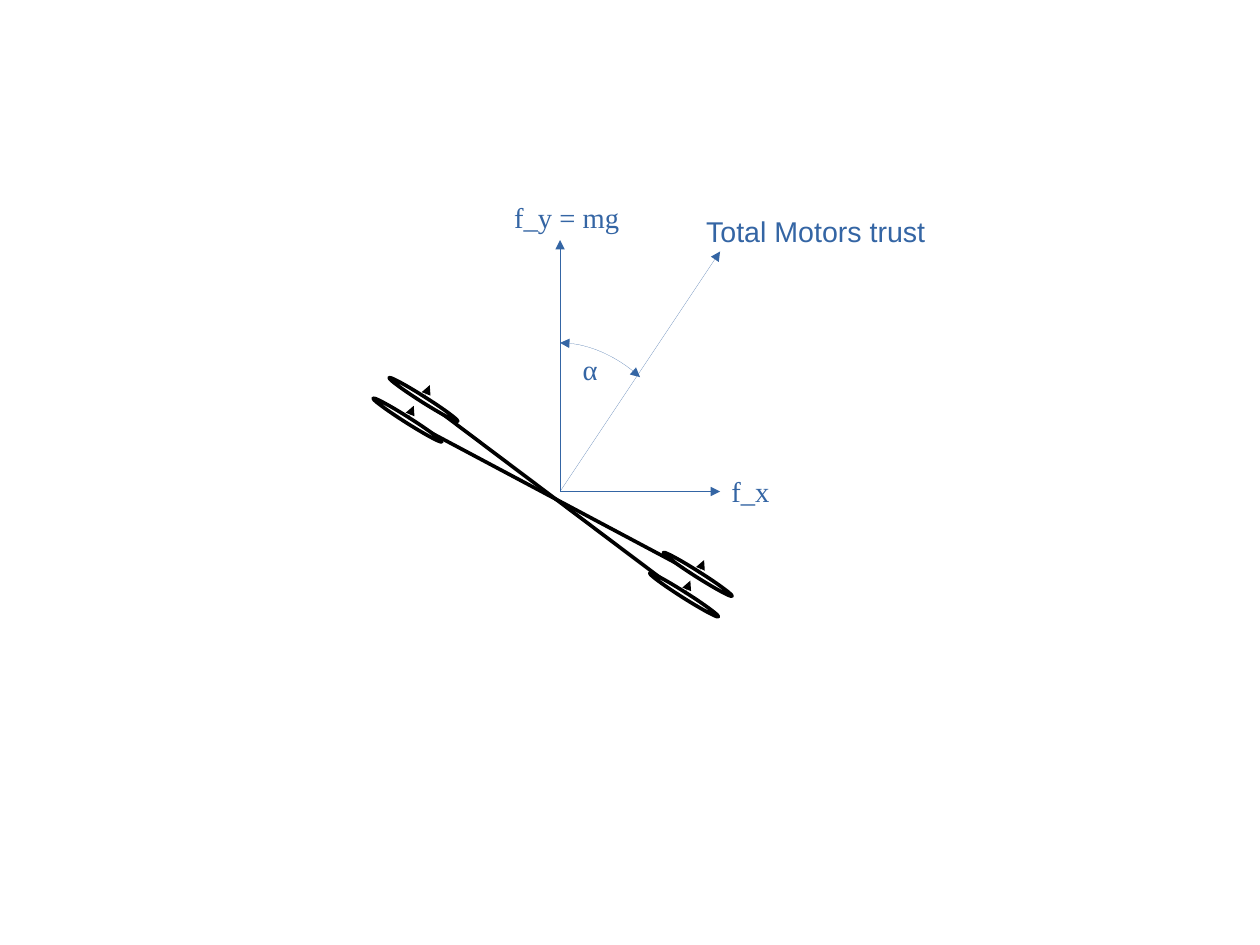
from lxml import etree
from pptx import Presentation
from pptx import util as u
from pptx.dml.color import RGBColor
from pptx.enum import shapes, text
from pptx.oxml.ns import qn

PX = 9144  # EMU per px, 100 px to the inch
COLORS = {"frame": "000000", "force": "3465A4", "rotor": "FFFFFF"}


class Sketch:
    """Holds the style and the slide, and draws each kind of element."""

    def __init__(self, slide):
        self.slide = slide
        self.shapes = slide.shapes
        self.text_format = {"size": u.Pt(18), "name": "Times New Roman"}

    def color(self, key):
        return RGBColor.from_string(COLORS[key])

    def stroke(self, shape, key, width, ends=()):
        shape.line.color.rgb = self.color(key)
        outline = shape._element.spPr.find(qn("a:ln"))
        outline.set("w", str(u.Pt(width)))  # a hairline needs an explicit 0
        for end in ends:
            etree.SubElement(outline, qn(f"a:{end}"), type="triangle")

    def line(self, start, end, key, width=0, ends=()):
        connector = self.shapes.add_connector(
            shapes.MSO_CONNECTOR.STRAIGHT, *(v * PX for v in (*start, *end)))
        self.stroke(connector, key, width, ends)
        etree.SubElement(connector._element.spPr, qn("a:effectLst"))

    def arrow(self, start, end, key):
        self.line(start, end, key, ends=("tailEnd",))

    def rotor(self, x, y):
        disc = self.shapes.add_shape(
            shapes.MSO_SHAPE.OVAL, *(v * PX for v in (x - 35, y - 2, 71, 5)))
        disc.rotation = 32.4
        disc.shadow.inherit = False
        disc.fill.solid()
        disc.fill.fore_color.rgb = self.color("rotor")
        self.stroke(disc, "frame", 2.3)

    def curve(self, controls, key, steps=32):
        """Cubic curve through four control points, arrowheads at both ends."""
        points = []
        for step in range(steps + 1):
            t = step / steps
            weights = ((1 - t) ** 3, 3 * t * (1 - t) ** 2, 3 * t * t * (1 - t), t ** 3)
            points.append(tuple(round(PX * sum(w * c for w, c in zip(weights, axis)))
                                for axis in zip(*controls)))
        builder = self.shapes.build_freeform(*points[0], scale=1.0)
        builder.add_line_segments(points[1:], close=False)
        arc = builder.convert_to_shape()
        arc.shadow.inherit = False
        arc.fill.background()
        self.stroke(arc, key, 0, ("headEnd", "tailEnd"))

    def label(self, words, box, wrap=True, **changes):
        frame = self.shapes.add_textbox(*(v * PX for v in box)).text_frame
        frame.word_wrap = wrap
        frame.auto_size = text.MSO_AUTO_SIZE.SHAPE_TO_FIT_TEXT
        run = frame.paragraphs[0].add_run()
        run.text = words
        for name, value in {**self.text_format, **changes}.items():
            setattr(run.font, name, value)
        run.font.color.rgb = self.color("force")


def main():
    deck = Presentation()
    deck.slide_width, deck.slide_height = u.Cm(28), u.Cm(21)
    sketch = Sketch(deck.slides.add_slide(deck.slide_layouts[6]))

    # Tilted quadcopter: two arms, four rotors and their thrust arrows
    sketch.shapes = sketch.slide.shapes.add_group_shape().shapes
    sketch.line((371, 350), (597, 520), "frame", 2.3)
    sketch.line((609, 502), (359, 369), "frame", 2.3)
    hubs = [(370, 349), (356, 367), (598, 520), (610, 502)]
    for hub in hubs:
        sketch.rotor(*hub)
    for x, y in hubs:
        sketch.arrow((x + 1, y), (x + 6, y - 12), "frame")

    # Forces from the centre
    sketch.shapes = sketch.slide.shapes
    centre = (490, 430)
    for tip in [(630, 430), (490, 210), (630, 220)]:
        sketch.arrow(centre, tip, "force")

    # Labels
    sketch.label("Total Motors trust", (608, 182, 214, 38), wrap=False, name="Arial")
    sketch.label("f_y = mg", (440, 170, 125, 44), wrap=False)
    sketch.label("f_x", (630, 410, 60, 44))
    sketch.label("α", (500, 303, 36, 44))

    # Tilt angle
    sketch.curve([(490, 300), (530, 300), (560, 330), (560, 330)], "force")

    deck.save("out.pptx")


if __name__ == "__main__":
    main()
